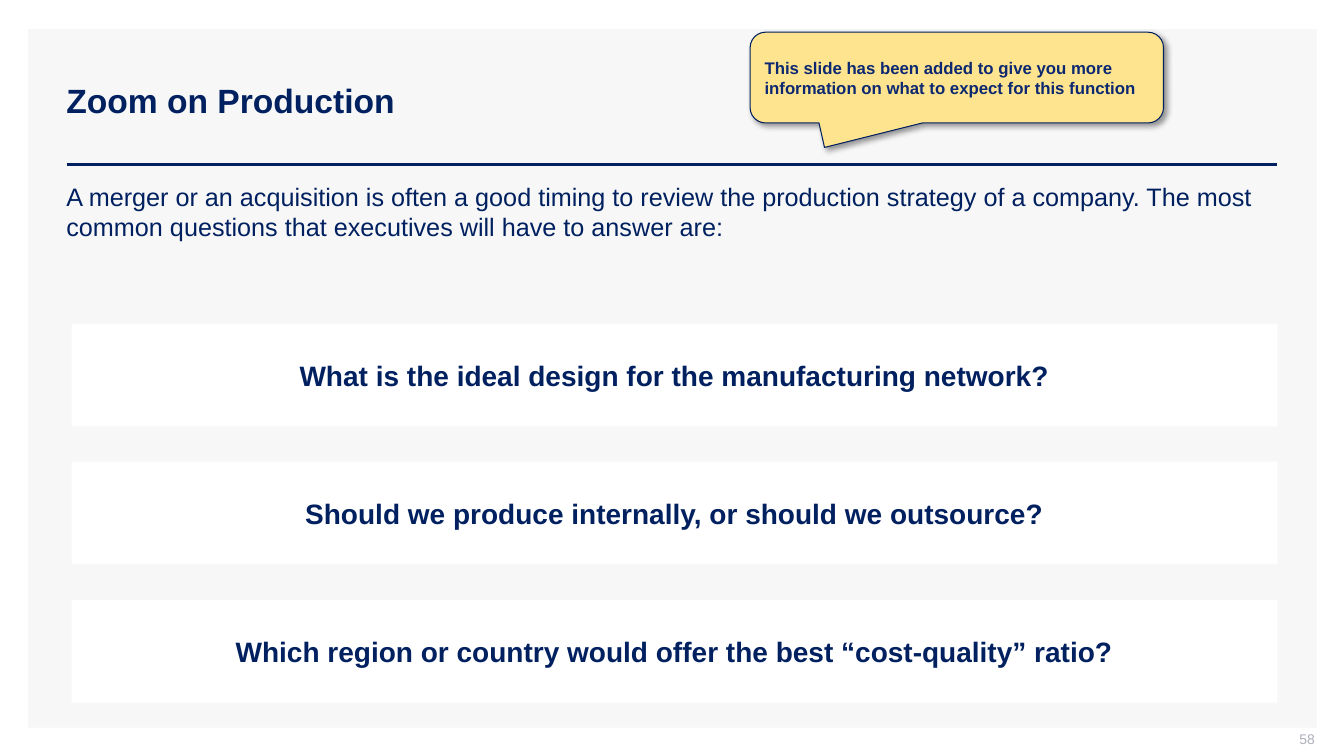
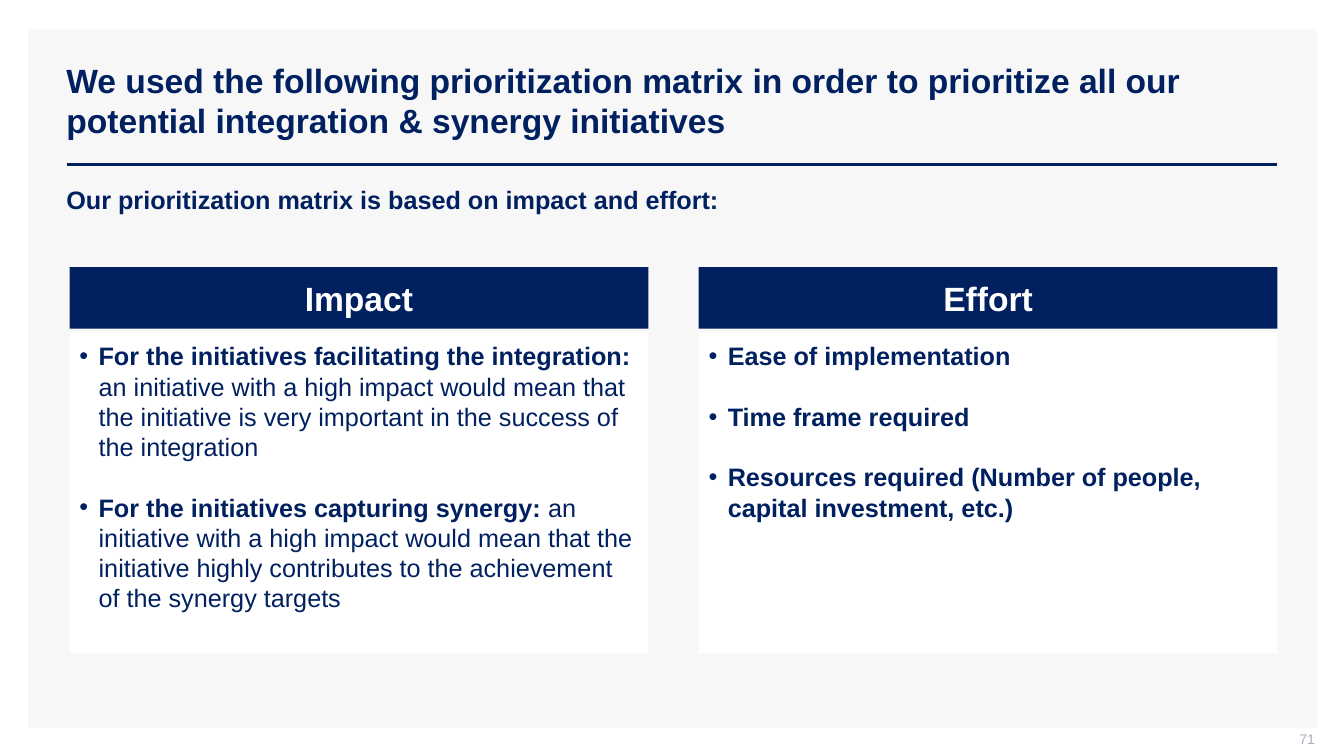
from dataclasses import dataclass
from typing import Optional

from lxml.etree import SubElement
from pptx import Presentation
from pptx.dml.color import RGBColor
from pptx.enum.shapes import MSO_CONNECTOR, MSO_SHAPE
from pptx.enum.text import MSO_ANCHOR, PP_ALIGN
from pptx.oxml.ns import qn
from pptx.util import Emu, Pt

EMU_PER_PX = 9144  # 100 px to the inch
FONT = "Arial"
COLORS = {
    "navy": "002060",
    "note_text": "0C2870",
    "note": "FFE48F",
    "panel": "F7F7F7",
    "white": "FFFFFF",
    "page_number": "ADAFBB",
    "black": "000000",
}
RIGHT_EDGE = 1267


@dataclass(frozen=True)
class Area:
    left: int
    top: int
    width: int
    height: int


@dataclass(frozen=True)
class Span:
    text: str
    bold: bool = True


@dataclass(frozen=True)
class Style:
    size: int
    color: str = "navy"
    align: PP_ALIGN = PP_ALIGN.LEFT
    anchor: MSO_ANCHOR = MSO_ANCHOR.MIDDLE
    insets: tuple[int, int, int, int] = (10, 5, 10, 5)
    bulleted: bool = False
    gap: float = 0


@dataclass(frozen=True)
class Column:
    heading: str
    points: list[list[Span]]


TITLE = Style(24)
INTRO = Style(18, anchor=MSO_ANCHOR.TOP)
PAGE_NUMBER = Style(10, "page_number", PP_ALIGN.RIGHT, insets=(10, 0, 0, 5))
QUESTION = Style(20, align=PP_ALIGN.CENTER)
HEADING = Style(24, "white", PP_ALIGN.CENTER)
POINTS = Style(18, anchor=MSO_ANCHOR.TOP, insets=(10, 8, 10, 5), bulleted=True, gap=21.6)
NOTE = Style(12, "note_text")

QUESTIONS = [
    "What is the ideal design for the manufacturing network?",
    "Should we produce internally, or should we outsource?",
    "Which region or country would offer the best “cost-quality” ratio?",
]
COLUMNS = [
    Column("Impact", [
        [Span("For the initiatives facilitating the integration: "),
         Span("an initiative with a high impact would mean that the initiative is "
              "very important in the success of the integration", False)],
        [Span("For the initiatives capturing synergy: "),
         Span("an initiative with a high impact would mean that the initiative "
              "highly contributes to the achievement of the synergy targets", False)],
    ]),
    Column("Effort", [
        [Span("Ease of implementation")],
        [Span("Time frame required")],
        [Span("Resources required (Number of people, capital investment, etc.)")],
    ]),
]


def px(length: int) -> Emu:
    return Emu(length * EMU_PER_PX)


def rgb(name: str) -> RGBColor:
    return RGBColor.from_string(COLORS[name])


def place(area: Area) -> tuple[Emu, Emu, Emu, Emu]:
    return px(area.left), px(area.top), px(area.width), px(area.height)


def add_bullet(para) -> None:
    properties = para._p.get_or_add_pPr()
    properties.set("marL", str(px(19)))
    properties.set("indent", str(px(-19)))
    SubElement(properties, qn("a:buFont"), typeface=FONT)
    SubElement(properties, qn("a:buChar"), char="•")


def write(box, paragraphs: list[list[Span]], style: Style) -> None:
    frame = box.text_frame
    frame.word_wrap = True
    frame.vertical_anchor = style.anchor
    (frame.margin_left, frame.margin_top,
     frame.margin_right, frame.margin_bottom) = map(px, style.insets)
    for index, spans in enumerate(paragraphs):
        para = frame.add_paragraph() if index else frame.paragraphs[0]
        para.alignment = style.align
        if index and style.gap:
            para.space_before = Pt(style.gap)
        if style.bulleted:
            add_bullet(para)
        for span in spans:
            run = para.add_run()
            run.text = span.text
            run.font.name = FONT
            run.font.size = Pt(style.size)
            run.font.bold = span.bold
            run.font.color.rgb = rgb(style.color)


def add_text(page, area: Area, text: str, style: Style, bold: bool = True) -> None:
    write(page.shapes.add_textbox(*place(area)), [[Span(text, bold)]], style)


def add_block(page, area: Area, fill: str, kind: MSO_SHAPE = MSO_SHAPE.RECTANGLE,
              line: Optional[str] = None):
    block = page.shapes.add_shape(kind, *place(area))
    block.shadow.inherit = False
    block.fill.solid()
    block.fill.fore_color.rgb = rgb(fill)
    if line:
        block.line.color.rgb = rgb(line)
        block.line.width = Pt(0.75)
    else:
        block.line.fill.background()
    return block


def add_shadow(shape) -> None:
    effects = shape._element.spPr.find(qn("a:effectLst"))
    shadow = SubElement(effects, qn("a:outerShdw"), blurRad=str(Pt(4)), dist=str(Pt(3)),
                        dir="2700000", algn="tl", rotWithShape="0")
    color = SubElement(shadow, qn("a:srgbClr"), val=COLORS["black"])
    SubElement(color, qn("a:alpha"), val="40000")


def add_page(deck, title: str, number: int):
    """Start a slide with the shared panel, title, rule and page number."""
    page = deck.slides.add_slide(deck.slide_layouts[6])
    add_block(page, Area(28, 29, 1278, 693), "panel")
    rule = page.shapes.add_connector(MSO_CONNECTOR.STRAIGHT, px(66), px(163),
                                     px(RIGHT_EDGE), px(163))
    rule.line.color.rgb = rgb("navy")
    rule.line.width = Pt(2)
    SubElement(rule._element.spPr, qn("a:effectLst"))
    add_text(page, Area(56, 40, 1211, 119), title, TITLE)
    add_text(page, Area(1004, 725, 300, 21), str(number), PAGE_NUMBER, bold=False)
    return page


def add_production_page(deck) -> None:
    page = add_page(deck, "Zoom on Production", 58)
    add_text(page, Area(56, 175, 1211, 71),
             "A merger or an acquisition is often a good timing to review the production "
             "strategy of a company. The most common questions that executives will have "
             "to answer are:", INTRO, bold=False)

    # Question cards
    for index, question in enumerate(QUESTIONS):
        card = add_block(page, Area(71, 321 + index * 137, RIGHT_EDGE - 71, 102), "white")
        write(card, [[Span(question)]], QUESTION)

    # Callout
    note = add_block(page, Area(744, 32, 410, 90), "note",
                     MSO_SHAPE.ROUNDED_RECTANGULAR_CALLOUT, "navy")
    for index, value in enumerate((-0.32, 0.77, 0.17)):
        note.adjustments[index] = value
    add_shadow(note)
    write(note, [[Span("This slide has been added to give you more information on what "
                       "to expect for this function")]], NOTE)


def add_matrix_page(deck) -> None:
    page = add_page(deck, "We used the following prioritization matrix in order to "
                          "prioritize all our potential integration & synergy initiatives", 71)
    add_text(page, Area(56, 178, 1128, 40),
             "Our prioritization matrix is based on impact and effort:", INTRO)

    # Criteria columns
    width, gap = 574, 50
    for index, column in enumerate(COLUMNS):
        left = 69 + index * (width + gap)
        heading = add_block(page, Area(left, 265, width, 61), "navy")
        write(heading, [[Span(column.heading)]], HEADING)
        body = add_block(page, Area(left, 330, width, 318), "white")
        write(body, column.points, POINTS)


def main() -> None:
    deck = Presentation()
    deck.slide_width, deck.slide_height = px(1333), px(750)
    add_production_page(deck)
    add_matrix_page(deck)
    deck.save("out.pptx")


if __name__ == "__main__":
    main()
